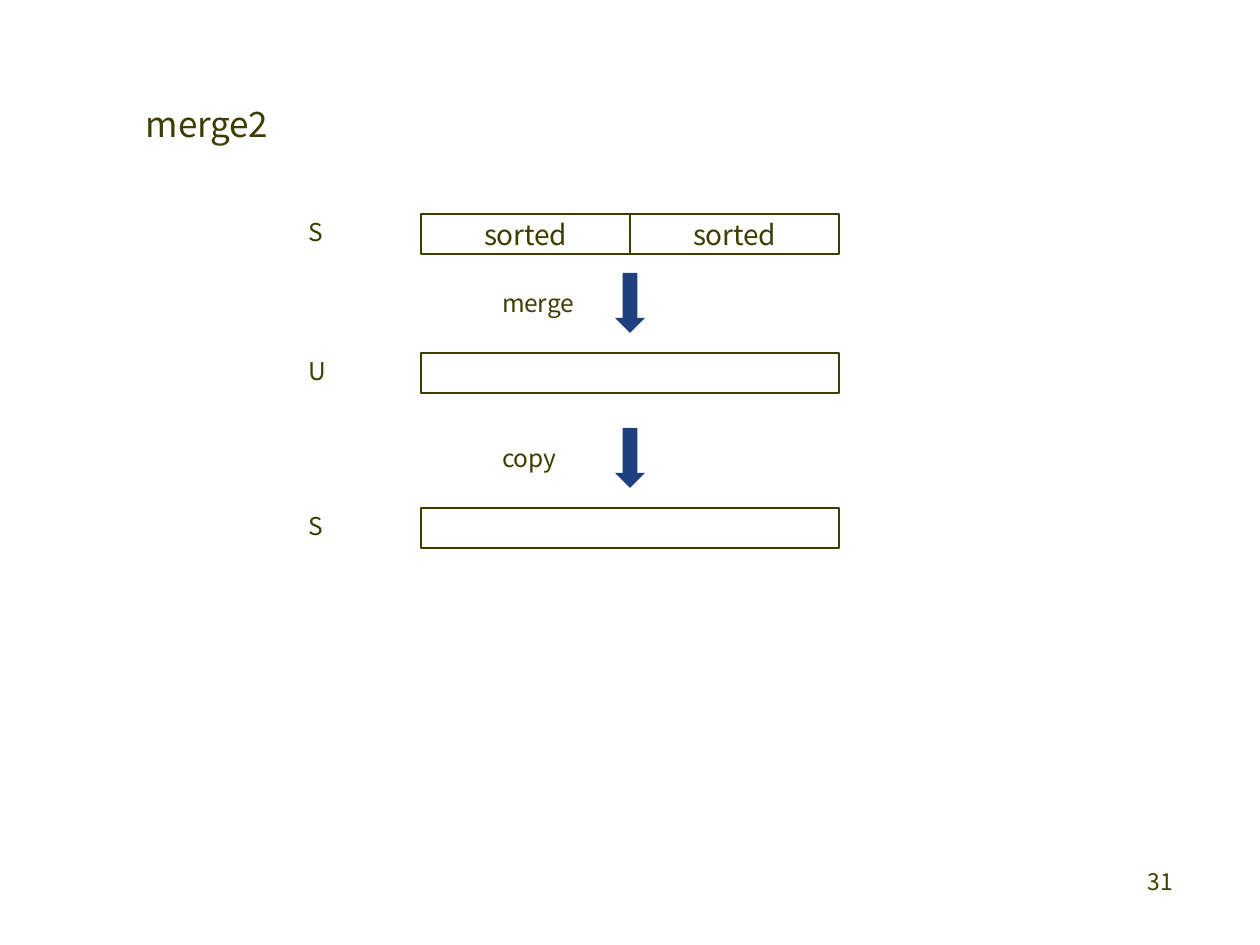
from pptx import Presentation
from pptx import util as u
from pptx.dml.color import RGBColor
from pptx.enum import shapes, text

SCALE = 914400 / 126
FONT = "Noto Sans CJK KR"
COLORS = {"ink": "3E3D00", "arrow": "1F407E"}
ARRAY_LEFT, ARRAY_WIDTH, ARRAY_HEIGHT = 421, 418, 40
ARROW_WIDTH, ARROW_HEIGHT, ARROW_RISE = 30, 60, 80


def px(length):
    return u.Emu(round(length * SCALE))


def color(name):
    return RGBColor.from_string(COLORS[name])


def write(shape, words, size, left=0, top=0, before=0, tracking=-10):
    """Set left-aligned text; tracking is in hundredths of a point."""
    frame = shape.text_frame
    frame.text = words
    frame.word_wrap = True
    frame.auto_size = text.MSO_AUTO_SIZE.NONE
    frame.vertical_anchor = text.MSO_ANCHOR.TOP
    frame.margin_left, frame.margin_top = px(left), px(top)
    frame.margin_right = frame.margin_bottom = 0
    para = frame.paragraphs[0]
    para.alignment = text.PP_ALIGN.LEFT
    para.space_before = u.Pt(before)
    span = para.runs[0]
    span.font.name = FONT
    span.font.size = u.Pt(size)
    span.font.color.rgb = color("ink")
    span._r.get_or_add_rPr().set("spc", str(tracking))
    return para


def add_title(page, words):
    title = page.shapes.title
    title.left, title.top, title.width, title.height = map(px, (53, 15, 1142, 150))
    write(title, words, 20, left=93, top=87, before=1.1)


def add_label(page, words, left, top, width, tracking=-10):
    box = page.shapes.add_textbox(px(left), px(top), px(width), px(33))
    write(box, words, 14, left=1, top=1, before=1.1, tracking=tracking)


def add_array(page, top, parts):
    """Draw one array as equal boxes, one for each text in parts."""
    width = ARRAY_WIDTH / len(parts)
    for index, words in enumerate(parts):
        box = page.shapes.add_shape(
            shapes.MSO_SHAPE.RECTANGLE, px(ARRAY_LEFT + index * width), px(top),
            px(width), px(ARRAY_HEIGHT))
        box.shadow.inherit = False
        box.fill.background()
        box.line.color.rgb = color("ink")
        box.line.width = u.Pt(0.75)
        if words:
            write(box, words, 16, left=63, top=4, before=2.1)


def add_step(page, words, array_top):
    """Draw the arrow that leads down to an array, with its caption."""
    top = array_top - ARROW_RISE
    left = ARRAY_LEFT + (ARRAY_WIDTH - ARROW_WIDTH) / 2
    arrow = page.shapes.add_shape(
        shapes.MSO_SHAPE.DOWN_ARROW, px(left), px(top), px(ARROW_WIDTH), px(ARROW_HEIGHT))
    arrow.shadow.inherit = False
    arrow.fill.solid()
    arrow.fill.fore_color.rgb = color("arrow")
    arrow.line.fill.background()
    add_label(page, words, 501, top + 14, 80)


def add_page_number(page, number):
    box = page.shapes.add_textbox(px(1143), px(869), px(39), px(26))
    write(box, number, 13, left=5, tracking=-20).line_spacing = u.Pt(14.7)


def main():
    deck = Presentation()
    deck.slide_width, deck.slide_height = u.Inches(10), u.Inches(7.5)
    page = deck.slides.add_slide(deck.slide_layouts[5])
    add_title(page, "merge2")
    rows = [
        ("S", 70, 214, ["sorted", "sorted"], None),
        ("U", -50, 353, [""], "merge"),
        ("S", 70, 508, [""], "copy"),
    ]
    for name, tracking, top, parts, step in rows:
        add_array(page, top, parts)
        add_label(page, name, 308, top + 2, 24, tracking)
        if step:
            add_step(page, step, top)
    add_page_number(page, "31")
    deck.save("out.pptx")


if __name__ == "__main__":
    main()
